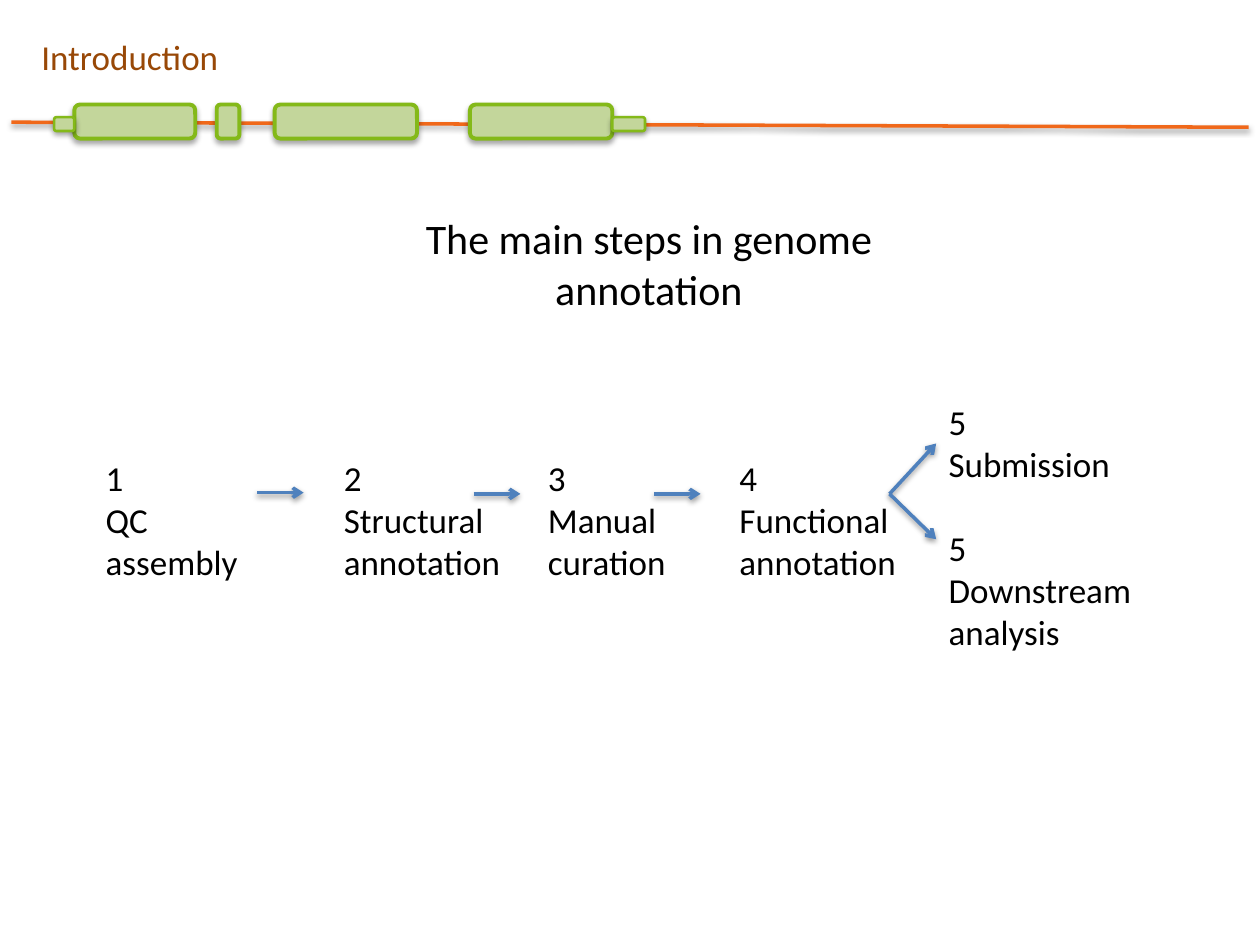
import pptx
import pptx.util
import pptx.dml.color
import pptx.enum.shapes
import pptx.enum.text
import pptx.oxml.ns
import lxml.etree

Inches = pptx.util.Inches
RGB = pptx.dml.color.RGBColor
qn = pptx.oxml.ns.qn
Align = pptx.enum.text.PP_ALIGN
BLACK = RGB(0x00, 0x00, 0x00)
BROWN = RGB(0x98, 0x48, 0x07)
ORANGE = RGB(0xF0, 0x68, 0x1A)
GREEN = RGB(0x84, 0xB9, 0x19)
PALE = RGB(0xC3, 0xD6, 0x9B)
BLUE = RGB(0x4F, 0x81, 0xBD)


def write(shape, text, size=20, color=BLACK, align=Align.LEFT, wrap=True):
    """Fill a shape with text, one paragraph per line."""
    frame = shape.text_frame
    frame.word_wrap = wrap
    frame.auto_size = pptx.enum.text.MSO_AUTO_SIZE.NONE
    frame.vertical_anchor = pptx.enum.text.MSO_ANCHOR.TOP
    frame.text = text
    for para in frame.paragraphs:
        para.alignment = align
        para.font.size = pptx.util.Pt(size)
        para.font.name = "Calibri"
        para.font.color.rgb = color


def shade(shape, dist, alpha):
    """Give a shape a soft shadow straight below it."""
    effect = lxml.etree.SubElement(shape.element.spPr, qn("a:effectLst"))
    outer = lxml.etree.SubElement(
        effect, qn("a:outerShdw"), blurRad="40000", dist=str(dist),
        dir="5400000", rotWithShape="0")
    color = lxml.etree.SubElement(outer, qn("a:srgbClr"), val="000000")
    lxml.etree.SubElement(color, qn("a:alpha"), val=str(alpha))


def draw_line(slide, start, end, color, arrow=False):
    """Draw a shaded line from start to end, with an arrowhead if asked."""
    line = slide.shapes.add_connector(
        pptx.enum.shapes.MSO_CONNECTOR.STRAIGHT,
        *(Inches(value) for value in (*start, *end)))
    line.line.color.rgb = color
    line.line.width = pptx.util.Pt(2)
    if arrow:
        lxml.etree.SubElement(
            line.element.spPr.find(qn("a:ln")), qn("a:tailEnd"), type="arrow")
    shade(line, 20000, 38000)


def draw_gene(slide, left, top, width):
    """Draw the gene model: a line with exons and thinner end pieces."""
    draw_line(slide, (left, top + 0.14), (left + width, top + 0.18), ORANGE)
    tall, thin = (0, 0.27, 2.25), (0.1, 0.11, 1.5)
    parts = [(0.5, 0.96, tall), (1.63, 0.18, tall), (2.09, 1.13, tall),
             (3.64, 1.13, tall), (4.77, 0.26, thin), (0.34, 0.16, thin)]
    for shift, span, (drop, height, weight) in parts:
        exon = slide.shapes.add_shape(
            pptx.enum.shapes.MSO_SHAPE.ROUNDED_RECTANGLE,
            Inches(left + shift), Inches(top + drop),
            Inches(span), Inches(height))
        exon.fill.solid()
        exon.fill.fore_color.rgb = PALE
        exon.line.color.rgb = GREEN
        exon.line.width = pptx.util.Pt(weight)
        shade(exon, 23000, 35000)


def add_label(slide, left, top, width, height, text, **style):
    """Add a text box."""
    box = slide.shapes.add_textbox(
        Inches(left), Inches(top), Inches(width), Inches(height))
    write(box, text, **style)


def set_title(slide, left, top, width, height, text):
    """Place and fill the title."""
    title = slide.shapes.title
    title.left, title.top = Inches(left), Inches(top)
    title.width, title.height = Inches(width), Inches(height)
    write(title, text, size=24, align=Align.CENTER, wrap=False)


def draw_steps(slide, left, top):
    """Draw the numbered steps and the arrows that join them."""
    steps = [(0, 0.44, 1.52, 1.11, "1\nQC assembly"),
             (1.89, 0.44, 2.02, 1.11, "2\nStructural annotation"),
             (3.51, 0.44, 1.77, 1.11, "3\nManual curation"),
             (5.03, 0.44, 2.02, 1.11, "4\nFunctional annotation"),
             (6.69, 0, 2.02, 0.77, "5\nSubmission"),
             (6.69, 1, 2.02, 1.11, "5\nDownstream analysis")]
    for shift, drop, width, height, text in steps:
        add_label(slide, left + shift, top + drop, width, height, text)
    arrows = [(1.3, 0.78, 0), (3.02, 0.79, 0), (4.45, 0.79, 0),
              (6.32, 0.79, -0.4), (6.32, 0.79, 0.36)]
    for shift, drop, rise in arrows:
        x, y = left + shift, top + drop
        draw_line(slide, (x, y), (x + 0.37, y + rise), BLUE, arrow=True)


def main():
    """Build and save the slide."""
    deck = pptx.Presentation()
    deck.slide_width, deck.slide_height = Inches(10), Inches(7.5)
    slide = deck.slides.add_slide(deck.slide_layouts[5])
    draw_gene(slide, 0.09, 0.83, 9.82)
    add_label(slide, 0.23, 0.23, 1.62, 0.44, "Introduction",
              color=BROWN, wrap=False)
    set_title(slide, 2.5, 1.64, 5.3, 0.5,
              "The main steps in genome annotation")
    draw_steps(slide, 0.74, 3.13)
    deck.save("out.pptx")


if __name__ == "__main__":
    main()
